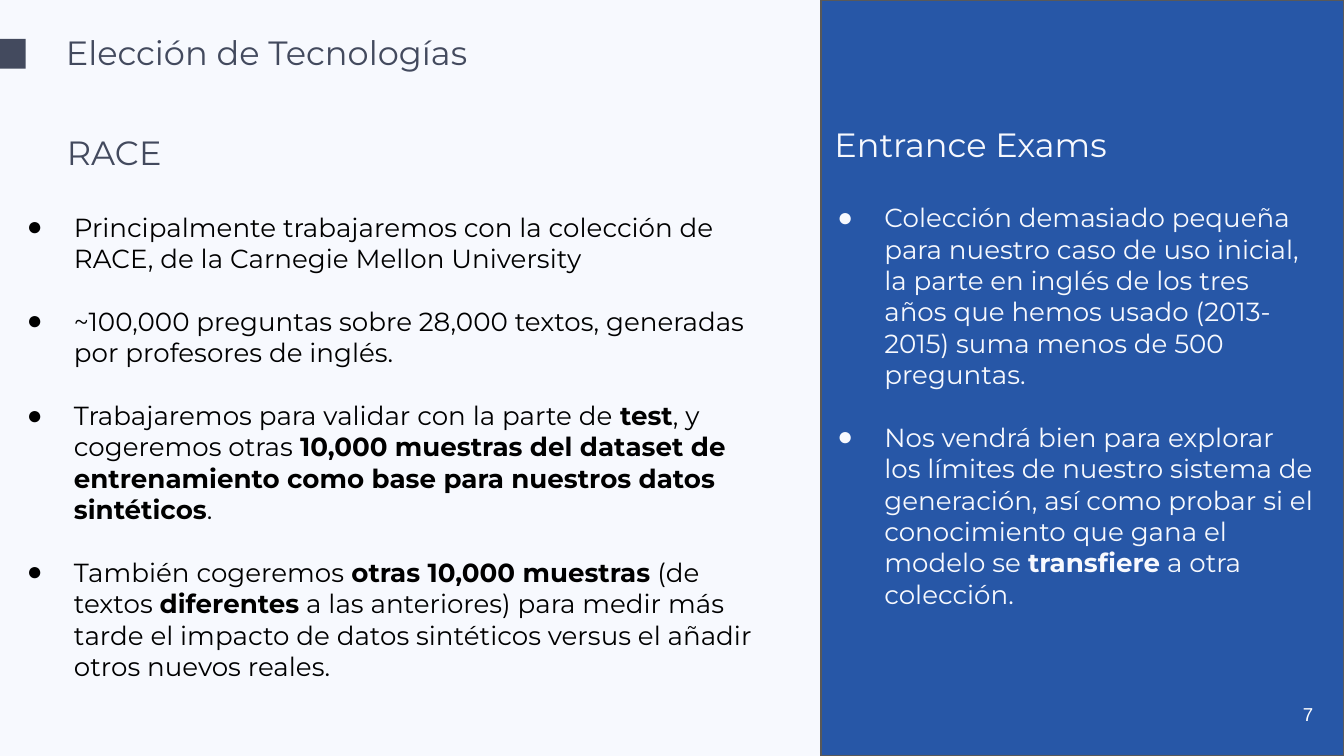
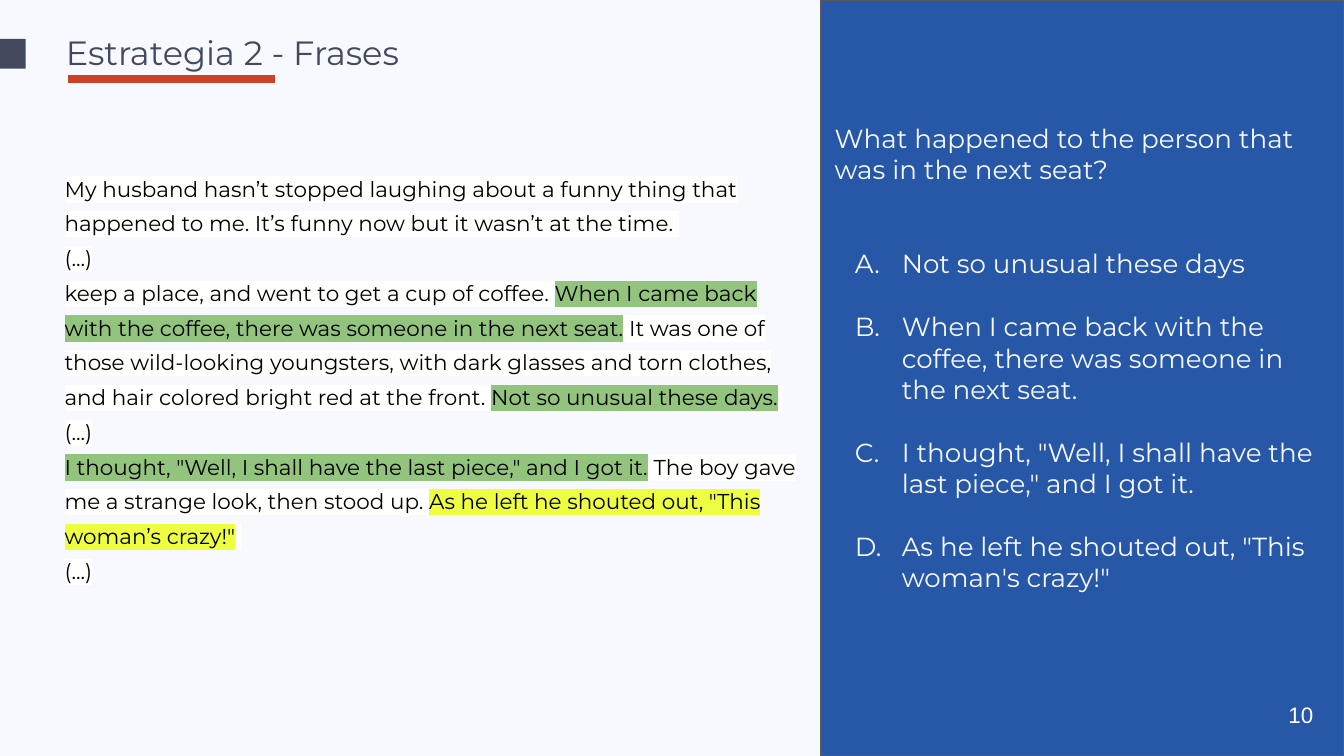
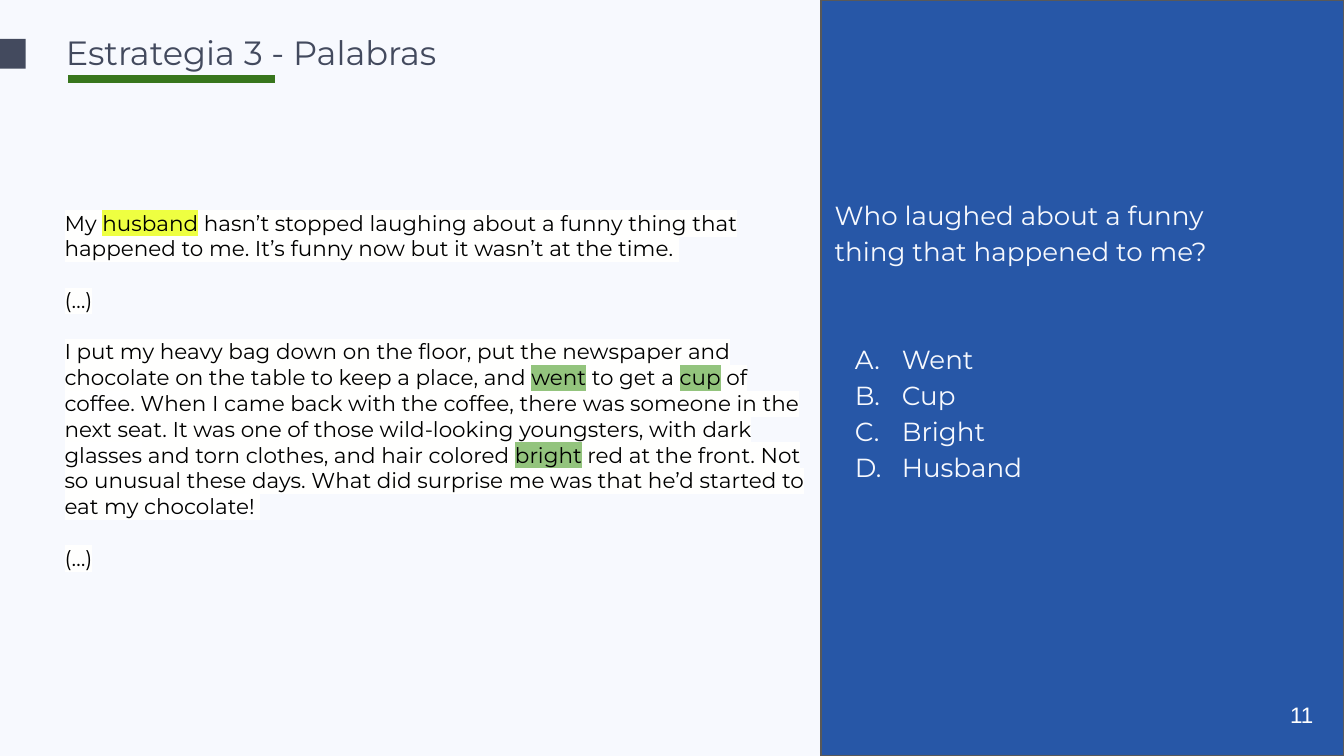
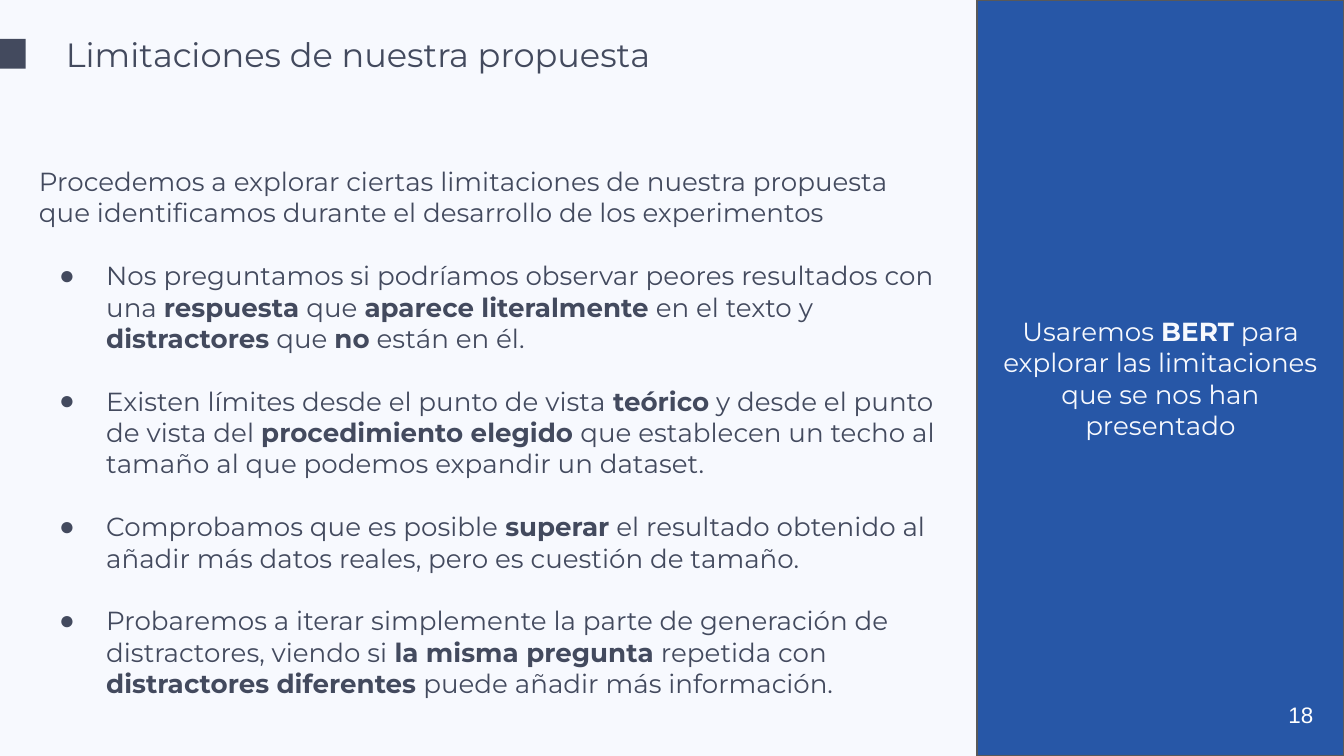
import pptx
import pptx.util
import pptx.oxml
import pptx.oxml.ns
import pptx.dml.color
import pptx.enum.text
import pptx.enum.shapes

Inches = pptx.util.Inches
Pt = pptx.util.Pt
RGBColor = pptx.dml.color.RGBColor
Align = pptx.enum.text.PP_ALIGN
Anchor = pptx.enum.text.MSO_ANCHOR
qn = pptx.oxml.ns.qn

# Colours
PAPER = RGBColor(0xF7, 0xF9, 0xFE)
SLATE = RGBColor(0x43, 0x4A, 0x5E)
BLUE = RGBColor(0x27, 0x57, 0xA7)
GREY = RGBColor(0x59, 0x59, 0x59)
BLACK = RGBColor(0, 0, 0)
WHITE = RGBColor(0xFF, 0xFF, 0xFF)
CREAM = RGBColor(0xFF, 0xFF, 0xFE)
GREEN = RGBColor(0x93, 0xC4, 0x7D)
YELLOW = RGBColor(0xEE, 0xFF, 0x41)
RED = RGBColor(0xCC, 0x41, 0x25)
FOREST = RGBColor(0x38, 0x76, 0x1D)

# Measures
WIDE = 10
HIGH = WIDE * 9 / 16
FONT = "Montserrat"
LINE = 16.8    # one empty 14 pt line, in points
BOLD = "bold"
DOT = '<a:buChar %s char="●"/>'
ABC = '<a:buAutoNum %s type="alphaUcPeriod"/>'


class Deck:
    def __init__(self):
        self.prs = pptx.Presentation()
        self.prs.slide_width = Inches(WIDE)
        self.prs.slide_height = Inches(HIGH)
        fill = self.prs.slide_master.background.fill
        fill.solid()
        fill.fore_color.rgb = PAPER

    def start(self, title, number, split, layout=3, size=12, top=0.08):
        """Open a slide with its title, square, side panel and number."""
        self.slide = self.prs.slides.add_slide(self.prs.slide_layouts[layout])
        frame = self.place(self.slide.shapes.title, (0, top, split, 0.62), Anchor.MIDDLE)
        self.para(frame, [title], 18, SLATE, left=0.39)
        self.rect((0, 0.29, 0.19, 0.22), SLATE)
        self.panel = self.rect((split, 0, WIDE - split, HIGH), BLUE, GREY)
        tree = self.panel._element.getparent()
        tree.insert(2, self.panel._element)
        frame = self.box((9.27, 5.1, 0.6, 0.43), Anchor.MIDDLE)
        self.para(frame, [str(number)], size, WHITE, font="Arial", align=Align.RIGHT)

    def rect(self, area, color, edge=None):
        kind = pptx.enum.shapes.MSO_SHAPE.RECTANGLE
        shape = self.slide.shapes.add_shape(kind, *map(Inches, area))
        shape.shadow.inherit = False
        shape.fill.solid()
        shape.fill.fore_color.rgb = color
        if edge is None:
            shape.line.fill.background()
        else:
            shape.line.color.rgb = edge
            shape.line.width = Pt(0.75)
        return shape

    def frame(self, shape, anchor, top=0.1):
        frame = shape.text_frame
        frame.word_wrap = True
        frame.auto_size = pptx.enum.text.MSO_AUTO_SIZE.NONE
        frame.vertical_anchor = anchor
        frame.margin_left = frame.margin_right = frame.margin_bottom = Inches(0.1)
        frame.margin_top = Inches(top)
        return frame

    def place(self, shape, area, anchor=Anchor.TOP, top=0.1):
        shape.left, shape.top, shape.width, shape.height = map(Inches, area)
        return self.frame(shape, anchor, top)

    def body(self, index, area, anchor=Anchor.TOP, top=0.1):
        return self.place(self.slide.placeholders[index], area, anchor, top)

    def box(self, area, anchor=Anchor.TOP):
        return self.frame(self.slide.shapes.add_textbox(*map(Inches, area)), anchor)

    def para(self, frame, parts, size, color, gap=0, pitch=1.0, mark=None,
             left=0, align=Align.LEFT, font=FONT, back=None):
        """Add a paragraph; a part is text, or text with BOLD or a back colour."""
        para = frame.paragraphs[0]
        if para.runs:
            para = frame.add_paragraph()
        para.alignment = align
        para.line_spacing = pitch
        para.space_before, para.space_after = Pt(gap), Pt(0)
        props = para._p.get_or_add_pPr()
        props.set("marL", str(Inches(0.5 if mark else left)))
        props.set("indent", str(Inches(-0.35 if mark else 0)))
        space = pptx.oxml.ns.nsdecls("a")
        if mark:
            face = "Arial" if mark == DOT else FONT
            props.append(pptx.oxml.parse_xml(
                f'<a:buClr {space}><a:srgbClr val="{color}"/></a:buClr>'))
            props.append(pptx.oxml.parse_xml(f'<a:buFont {space} typeface="{face}"/>'))
        props.append(pptx.oxml.parse_xml((mark or "<a:buNone %s/>") % space))
        for part in parts:
            text, style = (part, None) if isinstance(part, str) else part
            run = para.add_run()
            run.text = text
            run.font.name, run.font.size = font, Pt(size)
            run.font.bold = style == BOLD
            run.font.color.rgb = color
            shade = style if isinstance(style, RGBColor) else back
            if shade is not None:
                run._r.rPr.find(qn("a:solidFill")).addnext(pptx.oxml.parse_xml(
                    f'<a:highlight {space}><a:srgbClr val="{shade}"/></a:highlight>'))

    def items(self, frame, rows, color, mark=DOT, gap=LINE, first=0, pitch=1.0):
        for i, parts in enumerate(rows):
            self.para(frame, parts, 14, color, gap if i else first, pitch, mark)

    def story(self, frame, rows, gap=0, pitch=1.0):
        for i, parts in enumerate(rows):
            self.para(frame, parts, 11.5, BLACK, gap if i else 0, pitch, back=CREAM)

    def bar(self, color):
        self.rect((0.5, 0.55, 1.55, 0.07), color, PAPER)


def race(deck):
    deck.start("Elección de Tecnologías", 7, 6.11, size=10)
    # Left column
    head = deck.box((0.4, 0.82, 5.6, 0.62), Anchor.MIDDLE)
    deck.para(head, ["RACE"], 18, SLATE)
    deck.items(deck.body(1, (-0.05, 1.47, 5.91, 3.97)), [
        ["Principalmente trabajaremos con la colección de RACE, de la Carnegie Mellon University"],
        ["~100,000 preguntas sobre 28,000 textos, generadas por profesores de inglés."],
        ["Trabajaremos para validar con la parte de ", ("test", BOLD), ", y cogeremos otras ",
         ("10,000 muestras del dataset de entrenamiento como base para nuestros datos sintéticos",
          BOLD), "."],
        ["También cogeremos ", ("otras 10,000 muestras", BOLD), " (de textos ",
         ("diferentes", BOLD), " a las anteriores) para medir más tarde el impacto de datos "
         "sintéticos versus el añadir otros nuevos reales."],
    ], BLACK)
    # Right column
    head = deck.box((6.11, 0.82, 3.89, 0.43))
    deck.para(head, ["Entrance Exams"], 18, PAPER)
    deck.items(deck.body(2, (5.98, 0.7, 3.91, 4.68), top=0.8), [
        ["Colección demasiado pequeña para nuestro caso de uso inicial, la parte en inglés de "
         "los tres años que hemos usado (2013-2015) suma menos de 500 preguntas."],
        ["Nos vendrá bien para explorar los límites de nuestro sistema de generación, así como "
         "probar si el conocimiento que gana el modelo se ", ("transfiere", BOLD),
         " a otra colección."],
    ], PAPER)


def phrases(deck):
    deck.start("Estrategia 2 - Frases", 10, 6.11)
    deck.bar(RED)
    # Text with marked sentences
    deck.story(deck.body(1, (0.38, 1.13, 5.72, 3.96), top=0.11), [
        ["My husband hasn’t stopped laughing about a funny thing that happened to me. "
         "It’s funny now but it wasn’t at the time. "],
        ["(...)"],
        ["keep a place, and went to get a cup of coffee. ",
         ("When I came back with the coffee, there was someone in the next seat.", GREEN),
         " It was one of those wild-looking youngsters, with dark glasses and torn clothes, "
         "and hair colored bright red at the front. ",
         ("Not so unusual these days.", GREEN), " "],
        ["(...)"],
        [('I thought, "Well, I shall have the last piece," and I got it.', GREEN),
         (" ", WHITE), "The boy gave me a strange look, then stood up. ",
         ('As he left he shouted out, "This woman’s crazy!"', YELLOW), " "],
        ["(...)"],
    ], pitch=1.35)
    # Question and answers
    quiz = deck.body(2, (6.11, 0.11, 3.89, 4.68), top=0.8)
    deck.para(quiz, ["What happened to the person that was in the next seat?"], 14, PAPER)
    deck.items(quiz, [
        ["Not so unusual these days"],
        ["When I came back with the coffee, there was someone in the next seat."],
        ['I thought, "Well, I shall have the last piece," and I got it.'],
        ['As he left he shouted out, "This woman\'s crazy!"'],
    ], PAPER, ABC, first=2 * LINE)


def words(deck):
    deck.start("Estrategia 3 - Palabras", 11, 6.11)
    deck.bar(FOREST)
    # Text with marked words
    deck.story(deck.body(1, (0.38, 1.46, 5.72, 3.09)), [
        ["My ", ("husband", YELLOW), " hasn’t stopped laughing about a funny thing that "
         "happened to me. It’s funny now but it wasn’t at the time. "],
        ["(…)"],
        ["I put my heavy bag down on the floor, put the newspaper and chocolate on the table "
         "to keep a place, and ", ("went", GREEN), " to get a ", ("cup", GREEN), " of ",
         ("coffee", WHITE), ". When I came back with the coffee, there was someone in the next "
         "seat. It was one of those wild-looking youngsters, with dark ", ("glasses", WHITE),
         " and torn clothes, and hair colored ", ("bright", GREEN), " red at the front. Not so "
         "unusual these days. What did surprise me was that he’d started to eat my ",
         ("chocolate", WHITE), "! "],
        ["(…)"],
    ], gap=13.8)
    # Question and answers
    pitch = 1.15
    quiz = deck.body(2, (6.11, 0.58, 3.89, 3.42), top=0.87)
    for text in ("Who laughed about a funny", "thing that happened to me?"):
        deck.para(quiz, [text], 14, PAPER, pitch=pitch)
    deck.items(quiz, [["Went"], ["Cup"], ["Bright"], ["Husband"]], PAPER, ABC,
               gap=0, first=2 * LINE * pitch, pitch=pitch)


def limits(deck):
    deck.start("Limitaciones de nuestra propuesta", 18, 7.27, layout=1, top=0.09)
    # Limits found
    text = deck.body(1, (0.19, 1.27, 6.93, 3.89), Anchor.MIDDLE)
    deck.para(text, ["Procedemos a explorar ciertas limitaciones de nuestra propuesta que "
                     "identificamos durante el desarrollo de los experimentos"], 14, SLATE)
    deck.items(text, [
        ["Nos preguntamos si podríamos observar peores resultados con una ",
         ("respuesta", BOLD), " que ", ("aparece literalmente", BOLD), " en el texto y ",
         ("distractores", BOLD), " que ", ("no", BOLD), " están en él."],
        ["Existen límites desde el punto de vista ", ("teórico", BOLD),
         " y desde el punto de vista del ", ("procedimiento elegido", BOLD),
         " que establecen un techo al tamaño al que podemos expandir un dataset."],
        ["Comprobamos que es posible ", ("superar", BOLD), " el resultado obtenido al añadir "
         "más datos reales, pero es cuestión de tamaño."],
        ["Probaremos a iterar simplemente la parte de generación de distractores, viendo si ",
         ("la misma pregunta", BOLD), " repetida con ", ("distractores diferentes", BOLD),
         " puede añadir más información."],
    ], SLATE, first=LINE)
    # Side note
    note = deck.frame(deck.panel, Anchor.MIDDLE)
    deck.para(note, ["Usaremos ", ("BERT", BOLD), " para explorar las limitaciones que se nos "
                     "han presentado"], 14, PAPER, align=Align.CENTER)


def main():
    deck = Deck()
    for build in (race, phrases, words, limits):
        build(deck)
    deck.prs.save("out.pptx")


if __name__ == "__main__":
    main()
